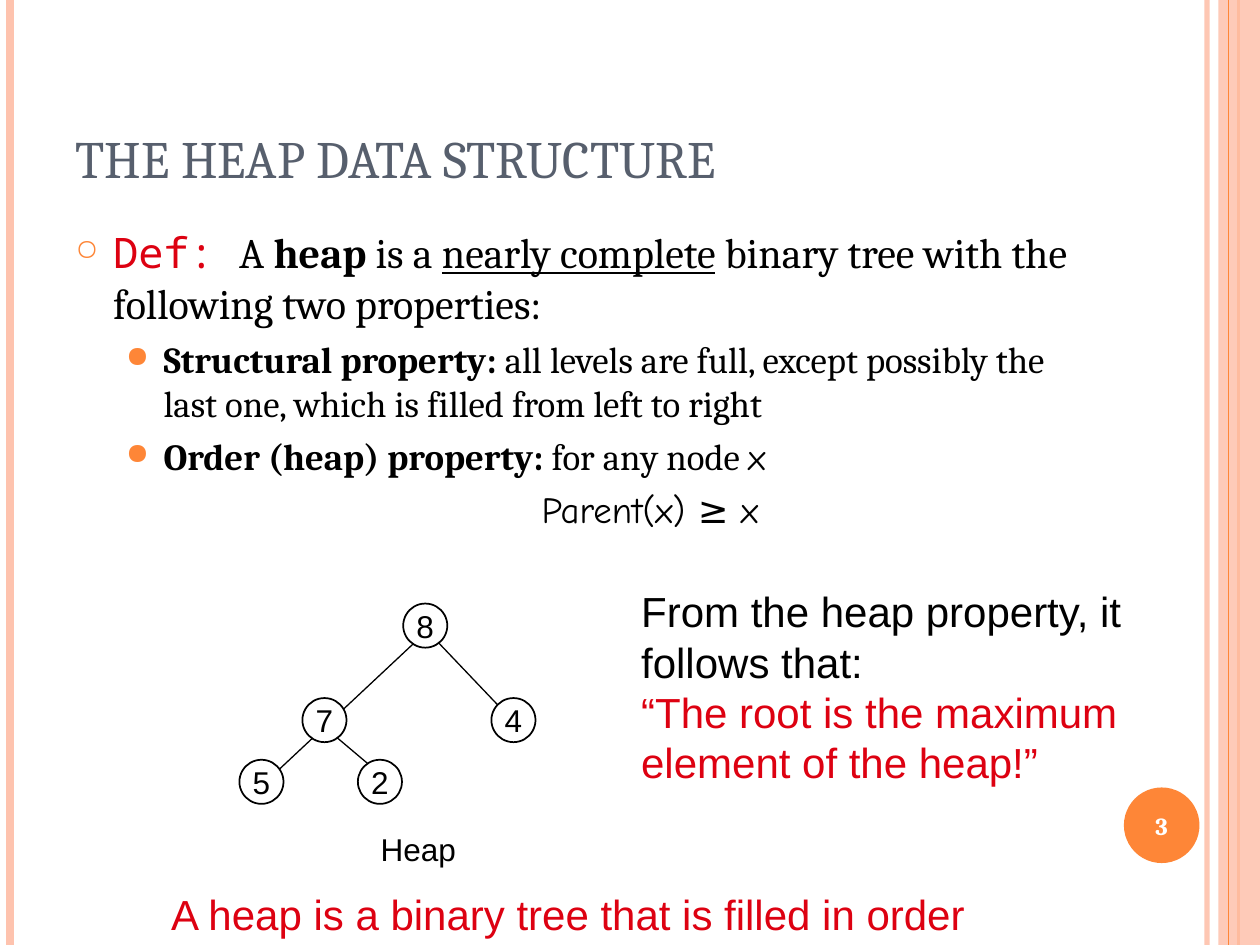
"""Build the slide on the heap data structure."""
from lxml import etree
from pptx import Presentation
from pptx.dml.color import RGBColor
from pptx.enum.shapes import MSO_CONNECTOR, MSO_SHAPE
from pptx.enum.text import MSO_ANCHOR, PP_ALIGN
from pptx.oxml.ns import qn
from pptx.util import Inches, Pt

LINE = MSO_CONNECTOR.STRAIGHT
OVAL, RECT = MSO_SHAPE.OVAL, MSO_SHAPE.RECTANGLE
LEFT, CENTER = PP_ALIGN.LEFT, PP_ALIGN.CENTER
MIDDLE, BOTTOM = MSO_ANCHOR.MIDDLE, MSO_ANCHOR.BOTTOM

THEME = {
    "serif": "Cambria", "sans": "Arial", "hand": "Comic Neue", "mono": "Noto Sans Mono",
    "ink": "000000", "paper": "FFFFFF", "red": "DD0111", "slate": "575F6D",
    "orange": "FE8637", "peach": "FEC3AE",
    "title": 30, "large": 24, "point": 21, "label": 18, "page": 14,
}

TITLE = "THE HEAP DATA STRUCTURE"
BODY = [
    {"size": "large", "margin": 0.3, "hang": 0.3, "space": 6, "bullet": ("○", 70),
     "runs": [("Def: ", "mono", "red", ""), ("A ", "serif", "ink", ""),
              ("heap", "serif", "ink", "b"), (" is a ", "serif", "ink", ""),
              ("nearly complete", "serif", "ink", "u"),
              (" binary tree with the following two properties:", "serif", "ink", "")]},
    {"size": "point", "margin": 0.7, "hang": 0.3, "space": 5.2, "bullet": ("●", 80),
     "runs": [("Structural property:", "serif", "ink", "b"),
              (" all levels are full, except possibly the last one, "
               "which is filled from left to right", "serif", "ink", "")]},
    {"size": "point", "margin": 0.7, "hang": 0.3, "space": 5.2, "bullet": ("●", 80),
     "runs": [("Order (heap) property:", "serif", "ink", "b"),
              (" for any node ", "serif", "ink", ""), ("x", "hand", "ink", "")]},
    {"size": "point", "margin": 3.7, "hang": 0, "space": 5.2, "bullet": None,
     "runs": [("Parent(x) ≥ x", "hand", "ink", "")]},
]
NOTES = [
    ((2.92, 6.54, 0.8, 0.4), "label", CENTER, False, [("Heap", "ink")]),
    ((4.99, 4.6, 4.11, 1.7), "large", LEFT, True,
     [("From the heap property, it follows that:", "ink"),
      ("“The root is the maximum", "red"), ("element of the heap!”", "red")]),
    ((1.26, 7, 6.79, 0.5), "large", LEFT, True,
     [("A heap is a binary tree that is filled in order", "red")]),
]
BARS = [(9.58, "peach", 3, 93), (0.08, "peach", 4.5, 100), (9.83, "orange", 1.5, 100)]
INNER = (9.75, "orange", 0.75, 100)
BAND = (9.67, 0, 0.33, 7.5)
BADGE = (8.92, 6.25, 0.6, 0.6)
EDGES = [(2.67, 5.85, 2.93, 6.07), (2.02, 6.29, 3.44, 4.96), (4.06, 5.71, 3.27, 4.88)]
NODES = [("5", 1.9, 6.03), ("7", 2.4, 5.54), ("8", 3.2, 4.79), ("4", 3.9, 5.54), ("2", 2.84, 6.03)]
NODE = 0.35


def color(key):
    return RGBColor.from_string(THEME[key])


def fade(part, alpha):
    tone = next(part.iter(qn("a:srgbClr")))
    etree.SubElement(tone, qn("a:alpha")).set("val", str(alpha * 1000))


def style(run, font, size, tone, bold=False, under=False):
    run.font.name, run.font.size = THEME[font], Pt(THEME[size])
    run.font.color.rgb = color(tone)
    run.font.bold, run.font.underline = bold, under


def draw_line(slide, ends, tone, width, alpha=100):
    line = slide.shapes.add_connector(LINE, *map(Inches, ends))
    line.line.color.rgb, line.line.width = color(tone), Pt(width)
    props = line._element.spPr
    etree.SubElement(props, qn("a:effectLst"))
    if alpha < 100:
        fade(props, alpha)


def draw_bar(slide, bar):
    x, tone, width, alpha = bar
    draw_line(slide, (x, 0, x, 7.5), tone, width, alpha)


def draw_shape(slide, kind, box, fill, edge=None):
    shape = slide.shapes.add_shape(kind, *map(Inches, box))
    shape.shadow.inherit = False
    shape.fill.solid()
    shape.fill.fore_color.rgb = color(fill)
    if edge:
        shape.line.color.rgb, shape.line.width = color(edge), Pt(1)
    else:
        shape.line.fill.background()
    return shape


def mark(shape, text, font, size, tone, bold=False):
    frame = shape.text_frame
    frame.text, frame.word_wrap, frame.vertical_anchor = text, False, MIDDLE
    par = frame.paragraphs[0]
    par.alignment = CENTER
    style(par.runs[0], font, size, tone, bold)


def add_box(slide, box, wrap=True):
    frame = slide.shapes.add_textbox(*map(Inches, box)).text_frame
    frame.word_wrap = wrap
    return frame


def next_par(frame, index):
    return frame.add_paragraph() if index else frame.paragraphs[0]


def set_bullet(par, item):
    props = par._p.get_or_add_pPr()
    props.set("marL", str(Inches(item["margin"])))
    props.set("indent", str(-Inches(item["hang"])))
    if item["bullet"]:
        char, size = item["bullet"]
        tone = etree.SubElement(props, qn("a:buClr"))
        etree.SubElement(tone, qn("a:srgbClr")).set("val", THEME["orange"])
        etree.SubElement(props, qn("a:buSzPct")).set("val", str(size * 1000))
        etree.SubElement(props, qn("a:buChar")).set("char", char)


def add_title(slide):
    title = slide.shapes.title
    title.left, title.top, title.width, title.height = map(Inches, (0.5, 0.3, 8.17, 1.25))
    frame = title.text_frame
    frame.text, frame.vertical_anchor = TITLE, BOTTOM
    frame.paragraphs[0].alignment = LEFT
    style(frame.paragraphs[0].runs[0], "serif", "title", "slate")


def add_body(slide):
    frame = add_box(slide, (0.5, 1.75, 8.17, 5.33))
    for i, item in enumerate(BODY):
        par = next_par(frame, i)
        par.space_before = Pt(item["space"])
        set_bullet(par, item)
        for text, font, tone, look in item["runs"]:
            run = par.add_run()
            run.text = text
            style(run, font, item["size"], tone, look == "b", look == "u")


def add_note(slide, box, size, align, wrap, lines):
    frame = add_box(slide, box, wrap)
    for i, (text, tone) in enumerate(lines):
        par = next_par(frame, i)
        par.text, par.alignment = text, align
        style(par.runs[0], "sans", size, tone)


def main():
    deck = Presentation()
    deck.slide_width, deck.slide_height = Inches(10), Inches(7.5)
    slide = deck.slides.add_slide(deck.slide_layouts[5])
    for bar in BARS:
        draw_bar(slide, bar)
    band = draw_shape(slide, RECT, BAND, "peach")
    fade(band._element.spPr, 87)
    draw_bar(slide, INNER)
    badge = draw_shape(slide, OVAL, BADGE, "orange")
    mark(badge, "3", "serif", "page", "paper", True)
    add_title(slide)
    add_body(slide)
    for ends in EDGES:
        draw_line(slide, ends, "ink", 0.75)
    for text, x, y in NODES:
        node = draw_shape(slide, OVAL, (x, y, NODE, NODE), "paper", "ink")
        mark(node, text, "sans", "label", "ink")
    for note in NOTES:
        add_note(slide, *note)
    deck.save("out.pptx")


if __name__ == "__main__":
    main()
